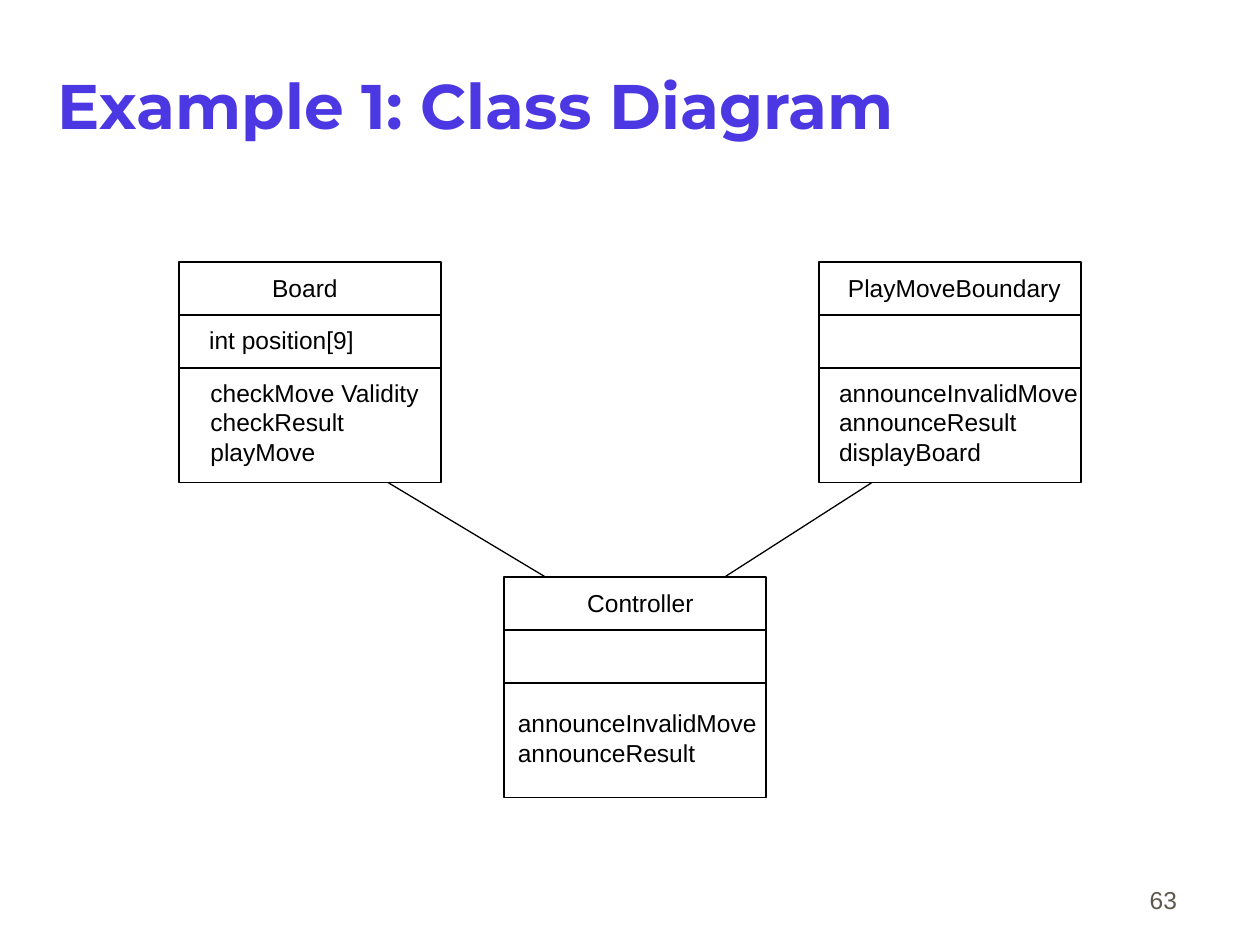
import pptx
import pptx.util
import pptx.dml.color
import pptx.enum.shapes
import pptx.enum.text
import pptx.oxml.ns
from lxml import etree

Inches, Pt = pptx.util.Inches, pptx.util.Pt
RGBColor = pptx.dml.color.RGBColor
ANCHOR = pptx.enum.text.MSO_ANCHOR
ALIGN = pptx.enum.text.PP_ALIGN
AUTO_SIZE = pptx.enum.text.MSO_AUTO_SIZE

BLACK = RGBColor(0x00, 0x00, 0x00)
VIOLET = RGBColor(0x4C, 0x38, 0xE2)
GREY = RGBColor(0x5E, 0x57, 0x4E)

TITLE = "Example 1: Class Diagram"
PAGE_NUMBER = "63"

CLASS_WIDTH, CLASS_HEIGHT, ROW_HEIGHT = 2.08, 1.75, 0.42
LINE_HEIGHT = 0.23

# Each text: (lines, left offset, top offset, width) within its class box
CLASSES = [
    {"at": (1.42, 2.08), "texts": [
        (["Board"], 0.74, 0.09, 0.52),
        (["int position[9]"], 0.24, 0.5, 1.15),
        (["checkMove Validity", "checkResult", "playMove"], 0.25, 0.92, 1.67)]},
    {"at": (4, 4.58), "texts": [
        (["Controller"], 0.66, 0.09, 0.85),
        (["announceInvalidMove", "announceResult"], 0.11, 1.04, 1.9)]},
    {"at": (6.5, 2.08), "texts": [
        (["PlayMoveBoundary"], 0.23, 0.09, 1.7),
        (["announceInvalidMove", "announceResult", "displayBoard"], 0.16, 0.92, 1.9)]},
]
ASSOCIATIONS = [((3.08, 3.83), (4.33, 4.58)), ((6.92, 3.83), (5.75, 4.58))]


def add_text(slide, lines, left, top, width, height, size=14, color=BLACK,
             font="Arial", bold=False, margins=(0, 0), wrap=False,
             anchor=ANCHOR.TOP, align=ALIGN.LEFT):
    """Add a text box; one that does not wrap grows to fit its lines."""
    box = slide.shapes.add_textbox(Inches(left), Inches(top), Inches(width), Inches(height))
    frame = box.text_frame
    frame.word_wrap = wrap
    frame.auto_size = AUTO_SIZE.NONE if wrap else AUTO_SIZE.SHAPE_TO_FIT_TEXT
    frame.vertical_anchor = anchor
    frame.margin_left = frame.margin_right = Inches(margins[0])
    frame.margin_top = frame.margin_bottom = Inches(margins[1])
    frame.text = "\n".join(lines)
    for paragraph in frame.paragraphs:
        paragraph.alignment = align
        for run in paragraph.runs:
            run.font.name = font
            run.font.size = Pt(size)
            run.font.bold = bold
            run.font.color.rgb = color


def add_line(slide, start, end):
    line = slide.shapes.add_connector(
        pptx.enum.shapes.MSO_CONNECTOR.STRAIGHT, *map(Inches, start + end))
    line.line.color.rgb = BLACK
    line.line.width = Pt(0.75)
    etree.SubElement(line._element.spPr, pptx.oxml.ns.qn("a:effectLst"))


def add_class(slide, at, texts):
    left, top = at
    outline = slide.shapes.add_shape(
        pptx.enum.shapes.MSO_SHAPE.RECTANGLE,
        Inches(left), Inches(top), Inches(CLASS_WIDTH), Inches(CLASS_HEIGHT))
    outline.shadow.inherit = False
    outline.fill.background()
    outline.line.color.rgb = BLACK
    outline.line.width = Pt(0.75)
    for row in (1, 2):
        y = top + row * ROW_HEIGHT
        add_line(slide, (left, y), (left + CLASS_WIDTH, y))
    for lines, dx, dy, width in texts:
        add_text(slide, lines, left + dx, top + dy, width, LINE_HEIGHT * len(lines))


def main():
    deck = pptx.Presentation()
    deck.slide_width, deck.slide_height = Inches(10), Inches(7.5)
    slide = deck.slides.add_slide(deck.slide_layouts[6])

    add_text(slide, [PAGE_NUMBER], 7.36, 6.81, 2.08, 0.5, color=GREY,
             margins=(0.1, 0.05), wrap=True, anchor=ANCHOR.BOTTOM, align=ALIGN.RIGHT)
    add_text(slide, [TITLE], 0.44, 0.18, 8.5, 1.29, size=36, color=VIOLET,
             font="Montserrat", bold=True, margins=(0.02, 0.05), wrap=True,
             anchor=ANCHOR.MIDDLE)
    for uml_class in CLASSES:
        add_class(slide, uml_class["at"], uml_class["texts"])
    for start, end in ASSOCIATIONS:
        add_line(slide, start, end)

    deck.save("out.pptx")


if __name__ == "__main__":
    main()
